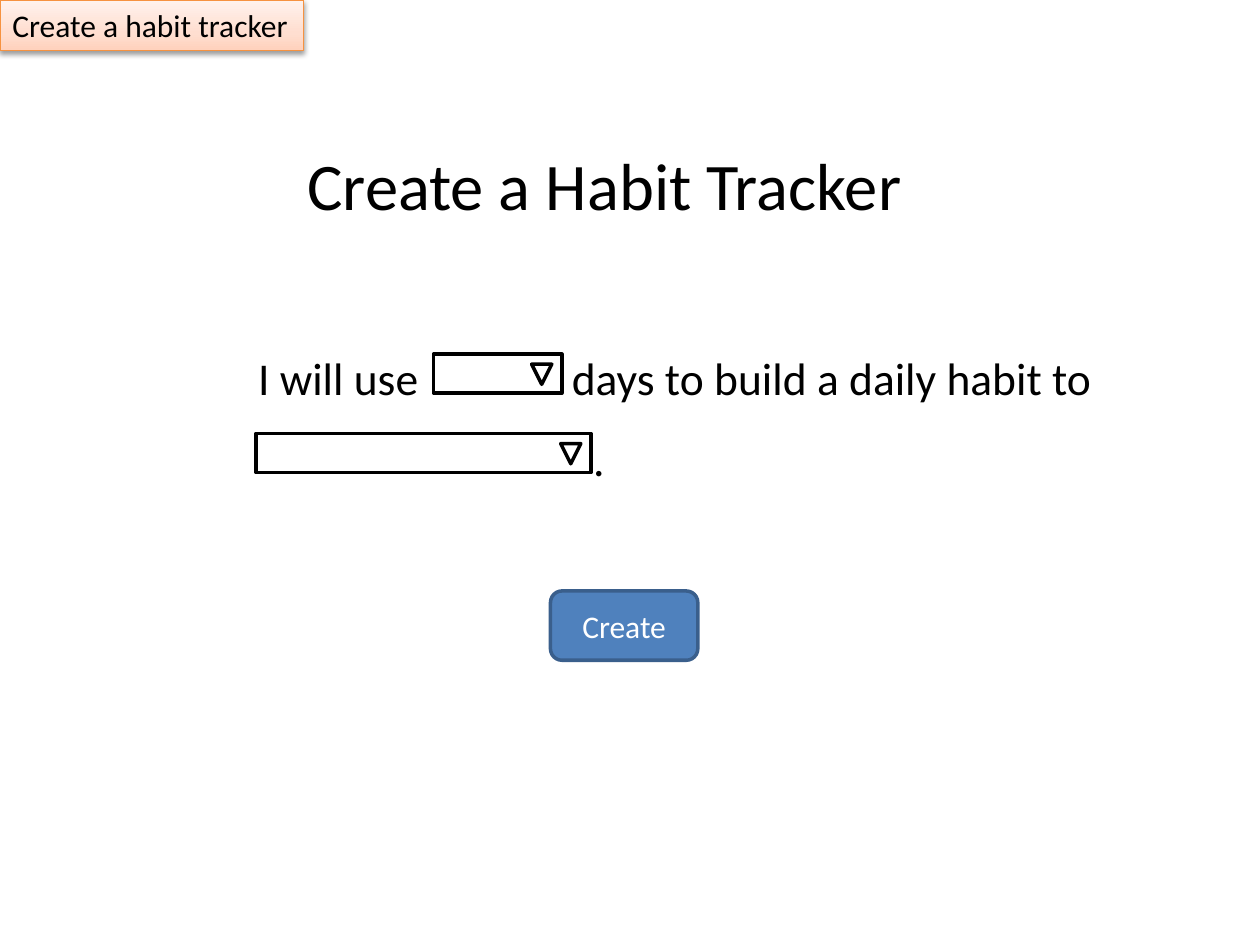
"""Build the habit tracker form slide."""
from dataclasses import dataclass
from lxml.etree import fromstring
from pptx import Presentation
from pptx.dml.color import RGBColor
from pptx.enum.shapes import MSO_SHAPE
from pptx.enum.text import MSO_ANCHOR, PP_ALIGN
from pptx.oxml.ns import qn
from pptx.util import Pt


@dataclass(frozen=True)
class Theme:
    """Colours, font and sizes."""
    font: str = "Calibri"
    ink: str = "000000"
    paper: str = "FFFFFF"
    blue: str = "4F81BD"
    navy: str = "3A5F8C"
    edge: str = "F69240"
    fade: tuple = ((0, "FFD2BD"), (35, "FFDED0"), (100, "FFF2ED"))
    small: int = 18
    body: int = 26
    large: int = 38


look = Theme()
NS = 'xmlns:a="http://schemas.openxmlformats.org/drawingml/2006/main"'
TAG = ("Create a habit tracker", (0, 0, 173.5, 28.8))
BUTTON = ("Create", (314.6, 337.7, 84.2, 39.6))
TEXTS = [
    ("I will use\tdays to build a daily habit to", (140.4, 196.6, 495.4, 70.6), look.body),
    ("Create a Habit Tracker", (168.5, 78.5, 357.8, 53.3), look.large),
    (".", (331.9, 242.6, 20.9, 38.9), look.body),
]
STOP = 179.3
MENUS = [(247.7, 202.3, 73.4), (146.2, 247.7, 191.5)]
MENU_H, ARROW, INSET = 22.3, 11.5, 5.8

deck = Presentation()
deck.slide_width, deck.slide_height = Pt(720), Pt(540)
slide = deck.slides.add_slide(deck.slide_layouts[6])


def write(shape, text, size, color=look.ink):
    """Put one run of text in a shape."""
    frame = shape.text_frame
    frame.word_wrap = True
    para = frame.paragraphs[0]
    para.alignment = PP_ALIGN.LEFT
    run = para.add_run()
    run.text = text
    run.font.name, run.font.size = look.font, Pt(size)
    run.font.color.rgb = RGBColor.from_string(color)
    return para


def draw(kind, box, fill, line, width=2):
    """Add a flat outlined shape."""
    shape = slide.shapes.add_shape(kind, *map(Pt, box))
    shape.shadow.inherit = False
    if fill:
        shape.fill.solid()
        shape.fill.fore_color.rgb = RGBColor.from_string(fill)
    else:
        shape.fill.background()
    shape.line.color.rgb = RGBColor.from_string(line)
    shape.line.width = Pt(width)
    return shape


def add_tag(text, box):
    """Add the corner tag with its gradient and shadow."""
    tag = draw(MSO_SHAPE.RECTANGLE, box, look.paper, look.edge, 0.75)
    tag.fill.gradient()
    props = tag.element.spPr
    grad = props.find(qn("a:gradFill"))
    stops = "".join(f'<a:gs pos="{at * 1000}"><a:srgbClr val="{color}"/></a:gs>'
                    for at, color in look.fade)
    props.replace(grad, fromstring(
        f'<a:gradFill {NS} rotWithShape="1"><a:gsLst>{stops}</a:gsLst>'
        '<a:lin ang="16200000" scaled="0"/></a:gradFill>'))
    props.find(qn("a:effectLst")).append(fromstring(
        f'<a:outerShdw {NS} blurRad="{Pt(3.1)}" dist="{Pt(1.6)}" dir="5400000" rotWithShape="0">'
        f'<a:srgbClr val="{look.ink}"><a:alpha val="38000"/></a:srgbClr></a:outerShdw>'))
    write(tag, text, look.small)
    tag.text_frame.vertical_anchor = MSO_ANCHOR.TOP


def add_text(text, box, size):
    """Add a text box, with a tab stop where a menu sits."""
    para = write(slide.shapes.add_textbox(*map(Pt, box)), text, size)
    if "\t" in text:
        para._p.get_or_add_pPr().append(fromstring(
            f'<a:tabLst {NS}><a:tab pos="{Pt(STOP)}" algn="l"/></a:tabLst>'))


def add_menu(left, top, width):
    """Add a drop-down field with its arrow."""
    draw(MSO_SHAPE.RECTANGLE, (left, top, width, MENU_H), look.paper, look.ink)
    spot = (left + width - INSET - ARROW, top + INSET, ARROW, ARROW)
    draw(MSO_SHAPE.ISOSCELES_TRIANGLE, spot, None, look.ink).rotation = 180


add_tag(*TAG)
label, area = BUTTON
button = draw(MSO_SHAPE.ROUNDED_RECTANGLE, area, look.blue, look.navy)
write(button, label, look.small, look.paper).alignment = PP_ALIGN.CENTER
button.text_frame.vertical_anchor = MSO_ANCHOR.MIDDLE
for item in TEXTS:
    add_text(*item)
for menu in MENUS:
    add_menu(*menu)
deck.save("out.pptx")
